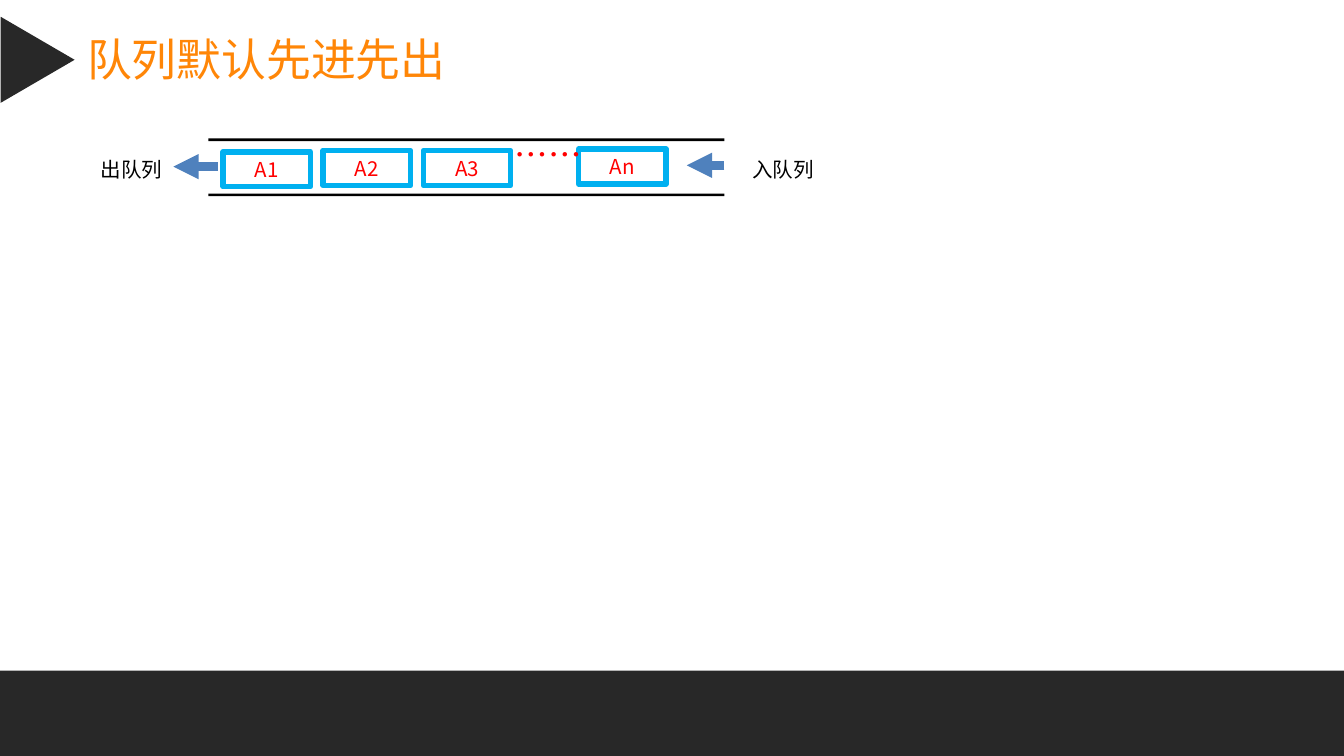
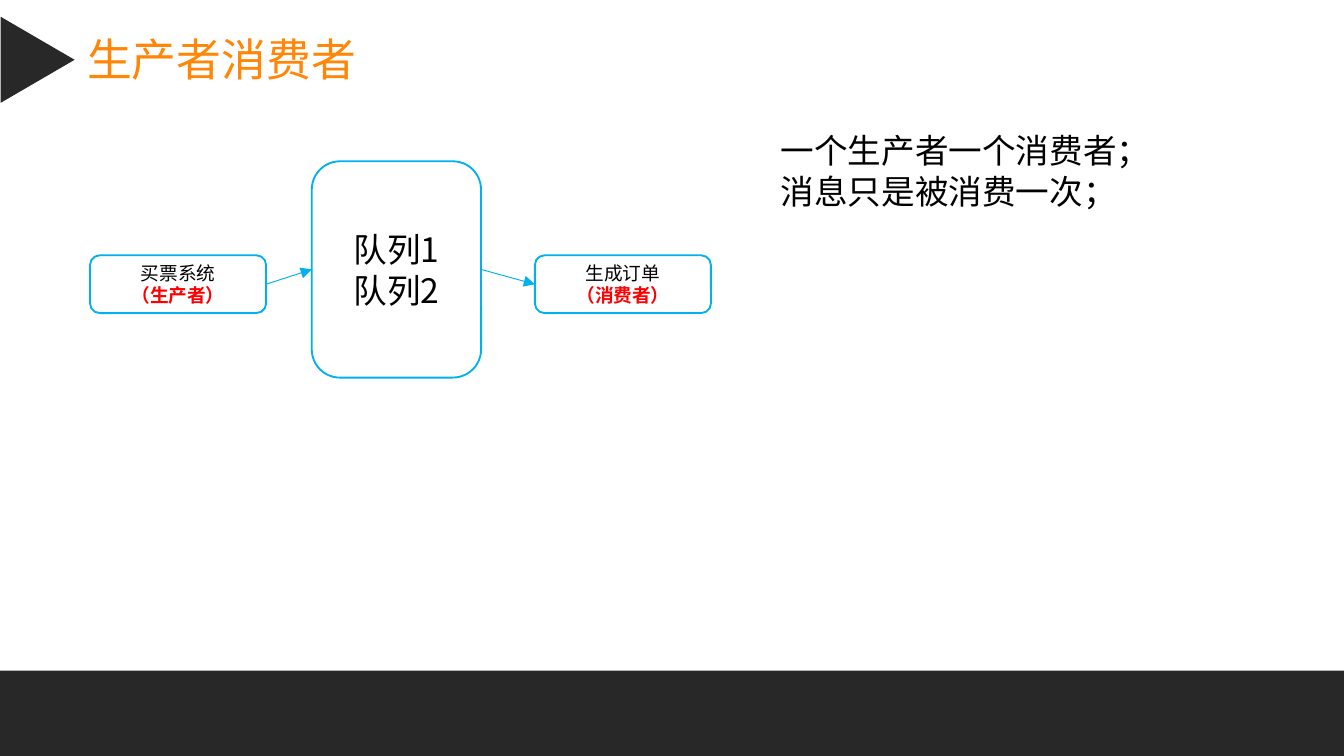
from lxml import etree
from pptx import Presentation
from pptx.dml.color import RGBColor
from pptx.enum.shapes import MSO_CONNECTOR, MSO_SHAPE
from pptx.enum.text import MSO_ANCHOR, MSO_AUTO_SIZE, PP_ALIGN
from pptx.oxml.ns import qn
from pptx.util import Inches, Pt

COLORS = {
    "dark": "282828",
    "title": "FF8607",
    "outline": "00B0F0",
    "arrow": "4F81BD",
    "accent": "FF0000",
    "text": "000000",
}
BODY_FONT = "Noto Sans CJK SC"
TITLE_FONT = "Roboto Condensed"

QUEUE_TITLE = "队列默认先进先出"
QUEUE_ITEMS = [("A1", 0, 11.3), ("A2", 1, 11.2), ("A3", 2, 11.2), ("An", 3.55, 11.1)]
QUEUE_RAILS = [10.3, 14.4]
QUEUE_ARROWS = [((53.9, 12.3), (51.1, 12.3)), ((16.2, 12.4), (12.9, 12.4))]
QUEUE_LABELS = [("出队列", 6.5), ("入队列", 55)]

SYSTEM_TITLE = "生产者消费者"
SYSTEM_BOXES = [
    (["买票系统", "（生产者）"], (6.7, 19, 13.1, 4.3), 10, ["text", "accent"]),
    (["队列1", "队列2"], (23.2, 12, 12.6, 16.1), 18, ["text", "text"]),
    (["生成订单", "（消费者）"], (39.8, 19, 13.1, 4.3), 10, ["text", "accent"]),
]
SYSTEM_NOTES = ["一个生产者一个消费者；", "消息只是被消费一次；"]

SLIDE_WIDTH = Inches(10)
SLIDE_HEIGHT = Inches(5.625)
COLUMNS = 100
FIRST_ITEM, ITEM_STEP = 16.6, 7.45

presentation = Presentation()
presentation.slide_width = SLIDE_WIDTH
presentation.slide_height = SLIDE_HEIGHT


def grid(*values):
    return [round(value * SLIDE_WIDTH / COLUMNS) for value in values]


def color(name):
    return RGBColor.from_string(COLORS[name])


def write(shape, lines, size, colors, font=BODY_FONT, centered=False, wrap=True):
    frame = shape.text_frame
    frame.text = "\n".join(lines)
    frame.word_wrap = wrap
    frame.vertical_anchor = MSO_ANCHOR.MIDDLE if centered else MSO_ANCHOR.TOP
    for paragraph, name in zip(frame.paragraphs, colors):
        paragraph.alignment = PP_ALIGN.CENTER if centered else PP_ALIGN.LEFT
        for run in paragraph.runs:
            run.font.size = Pt(size)
            run.font.name = font
            run.font.color.rgb = color(name)
            run.font.bold = name == "accent" and len(lines) > 1
            east_asian = etree.Element(qn("a:ea"), typeface=BODY_FONT)
            run.font._element.find(qn("a:latin")).addnext(east_asian)


def add_text(slide, area, lines, size, name="text", grow=True, **options):
    box = slide.shapes.add_textbox(*grid(*area))
    write(box, lines, size, [name] * len(lines), **options)
    if grow:
        box.text_frame.auto_size = MSO_AUTO_SIZE.SHAPE_TO_FIT_TEXT


def add_shape(slide, kind, area, fill=None, outline=None, weight=1):
    shape = slide.shapes.add_shape(kind, *grid(*area))
    shape.shadow.inherit = False
    if fill:
        shape.fill.solid()
        shape.fill.fore_color.rgb = color(fill)
    else:
        shape.fill.background()
    if outline:
        shape.line.color.rgb = color(outline)
        shape.line.width = Pt(weight)
    else:
        shape.line.fill.background()
    return shape


def add_arrow(slide, start, end, name, weight):
    arrow = slide.shapes.add_connector(MSO_CONNECTOR.STRAIGHT, *grid(*start, *end))
    arrow.line.color.rgb = color(name)
    arrow.line.width = Pt(weight)
    line = arrow.line._get_or_add_ln()
    etree.SubElement(line, qn("a:tailEnd"), type="triangle")
    etree.SubElement(arrow._element.spPr, qn("a:effectLst"))


def add_slide(title, title_width):
    slide = presentation.slides.add_slide(presentation.slide_layouts[6])
    add_shape(slide, MSO_SHAPE.RECTANGLE, (0, 49.9, COLUMNS, 6.35), "dark")
    add_text(slide, (5.5, 1.9, title_width, 5), [title], 24, "title",
             font=TITLE_FONT, wrap=False)
    marker = add_shape(slide, MSO_SHAPE.ISOSCELES_TRIANGLE, (-0.4, 1.7, 6.4, 5.5), "dark")
    marker.rotation = 90
    return slide


def build_queue():
    slide = add_slide(QUEUE_TITLE, 28.9)
    for top in QUEUE_RAILS:
        add_shape(slide, MSO_SHAPE.RECTANGLE, (15.5, top, 38.4, 0.2), "text")
    for label, position, top in QUEUE_ITEMS:
        area = (FIRST_ITEM + position * ITEM_STEP, top, 6.5, 2.6)
        item = add_shape(slide, MSO_SHAPE.RECTANGLE, area, outline="outline", weight=3)
        write(item, [label], 11, ["accent"], centered=True)
    add_text(slide, (37.1, 9.2, 7.4, 4.6), ["……"], 18, "accent", grow=False, centered=True)
    for start, end in QUEUE_ARROWS:
        add_arrow(slide, start, end, "arrow", 4.5)
    for label, left in QUEUE_LABELS:
        add_text(slide, (left, 11.2, 7.3, 2.9), [label], 11)


def build_system():
    slide = add_slide(SYSTEM_TITLE, 22.2)
    for lines, area, size, colors in SYSTEM_BOXES:
        box = add_shape(slide, MSO_SHAPE.ROUNDED_RECTANGLE, area, outline="outline")
        write(box, lines, size, colors, centered=True)
    areas = [area for _, area, _, _ in SYSTEM_BOXES]
    for source, target in zip(areas, areas[1:]):
        start = (source[0] + source[2], source[1] + source[3] / 2)
        end = (target[0], target[1] + target[3] / 2)
        add_arrow(slide, start, end, "outline", 0.5)
    add_text(slide, (57.1, 9.2, 29.1, 7.1), SYSTEM_NOTES, 18)


build_queue()
build_system()
presentation.save("out.pptx")
